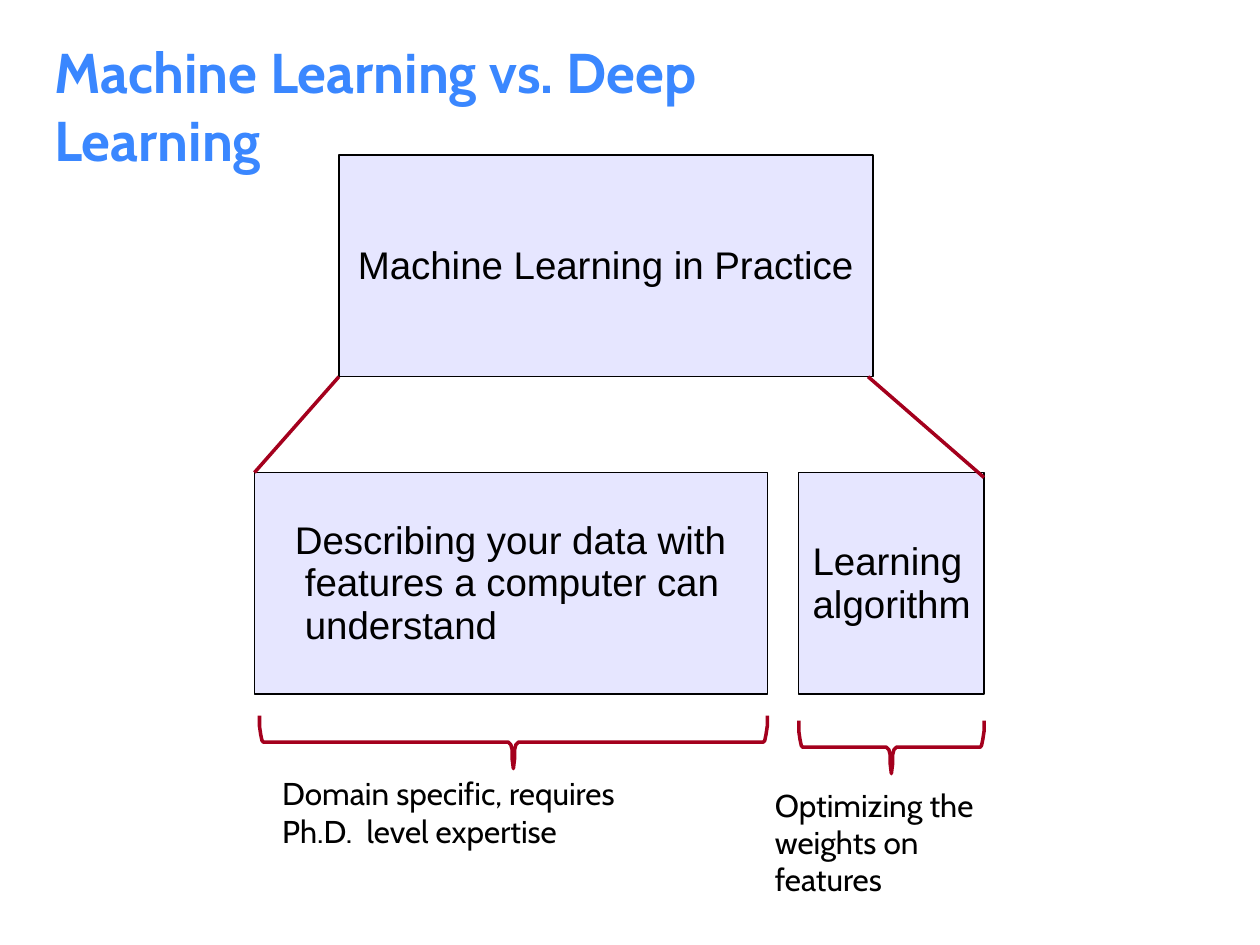
from dataclasses import dataclass

from lxml import etree
from pptx import Presentation
from pptx.dml.color import RGBColor
from pptx.enum.shapes import MSO_CONNECTOR, MSO_SHAPE
from pptx.enum.text import MSO_ANCHOR, MSO_AUTO_SIZE, PP_ALIGN
from pptx.oxml.ns import qn
from pptx.util import Inches, Pt

LEFT, TOP, MIDDLE = PP_ALIGN.LEFT, MSO_ANCHOR.TOP, MSO_ANCHOR.MIDDLE
NO_AUTOFIT = MSO_AUTO_SIZE.NONE
RECTANGLE, STRAIGHT = MSO_SHAPE.RECTANGLE, MSO_CONNECTOR.STRAIGHT


@dataclass(frozen=True)
class Theme:
    blue = RGBColor(0x3A, 0x87, 0xFF)
    black = RGBColor(0, 0, 0)
    lavender = RGBColor(0xE6, 0xE6, 0xFF)
    red = RGBColor(0xA4, 0x00, 0x1D)
    heading_font, box_font = "Cabin", "Arial"
    title_size, box_size, caption_size = Pt(32), Pt(22), Pt(18)
    box_leading, caption_leading = Pt(24.3), Pt(21.3)
    outline, accent = Pt(0.75), Pt(2)


THEME = Theme()
TITLE = "Machine Learning vs. Deep Learning"
BOX_HEIGHT = 1.76
UPPER_ROW, LOWER_ROW = 1.23, 3.75
# text, left, top, width, side margins, hanging indent
BOXES = [
    ("Machine Learning in Practice", 2.69, UPPER_ROW, 4.24, (0.15, 0.05), 0),
    ("Describing your data with features a computer can understand",
     2.02, LOWER_ROW, 4.07, (0.32, 0.3), 0.08),
    ("Learning algorithm", 6.34, LOWER_ROW, 1.47, (0.11, 0.05), 0),
]
# text, left, top, width
CAPTIONS = [
    ("Domain specific, requires Ph.D.  level expertise", 2.23, 6.12, 3.19),
    ("Optimizing the weights on features", 6.14, 6.21, 2.03),
]
UPPER_BOTTOM = UPPER_ROW + BOX_HEIGHT
FAN_LINES = [
    ((2.69, UPPER_BOTTOM), (2.02, LOWER_ROW)),
    ((6.89, UPPER_BOTTOM), (7.81, LOWER_ROW + 0.04)),
]
# left, right, top
BRACES = [(2.06, 6.09, 5.68), (6.34, 7.81, 5.72)]
# distance from an end or from the tip, share of the brace height
BRACE_HEIGHT = 0.42
BRACE_END = [(0, 0), (0, 0.2), (0.01, 0.36), (0.02, 0.47), (0.03, 0.5)]
BRACE_TIP = [(0.04, 0.5), (0.02, 0.55), (0.01, 0.64), (0.01, 0.81), (0, 1)]


def write(shape, text, font_name, size, color, leading=None, anchor=TOP,
          margins=(0.01, 0), bold=False, hanging=0):
    frame = shape.text_frame
    frame.text = text
    frame.word_wrap = True
    frame.auto_size = NO_AUTOFIT
    frame.vertical_anchor = anchor
    frame.margin_left, frame.margin_right = map(Inches, margins)
    frame.margin_top = frame.margin_bottom = Inches(0.03)
    para = frame.paragraphs[0]
    para.alignment = LEFT
    para.space_before = Pt(0)
    para.line_spacing = leading or 1.0
    if hanging:
        properties = para._p.get_or_add_pPr()
        properties.set("marL", str(Inches(hanging)))
        properties.set("indent", str(-Inches(hanging)))
    font = para.runs[0].font
    font.name, font.size, font.bold = font_name, size, bold
    font.color.rgb = color


def add_box(page, text, left, top, width, margins, hanging):
    box = page.shapes.add_shape(RECTANGLE, Inches(left), Inches(top),
                                Inches(width), Inches(BOX_HEIGHT))
    box.shadow.inherit = False
    box.fill.solid()
    box.fill.fore_color.rgb = THEME.lavender
    box.line.color.rgb = THEME.black
    box.line.width = THEME.outline
    write(box, text, THEME.box_font, THEME.box_size, THEME.black,
          THEME.box_leading, MIDDLE, margins, hanging=hanging)


def add_fan_line(page, start, end):
    line = page.shapes.add_connector(STRAIGHT, *map(Inches, start + end))
    line.line.color.rgb = THEME.red
    line.line.width = THEME.accent
    etree.SubElement(line._element.spPr, qn("a:effectLst"))


def add_brace(page, left, right, top):
    """Draw a downward brace: one half, then its mirror image."""
    middle = (left + right) / 2
    half = [(left + away, share) for away, share in BRACE_END]
    half += [(middle - away, share) for away, share in BRACE_TIP]
    mirror = [(left + right - x, share) for x, share in reversed(half[:-1])]
    points = [(Inches(x), Inches(top + share * BRACE_HEIGHT))
              for x, share in half + mirror]
    builder = page.shapes.build_freeform(*points[0])
    builder.add_line_segments(points[1:], close=False)
    brace = builder.convert_to_shape()
    brace.shadow.inherit = False
    brace.fill.background()
    brace.line.color.rgb = THEME.red
    brace.line.width = THEME.accent


def main():
    deck = Presentation()
    deck.slide_width, deck.slide_height = Inches(10), Inches(7.5)
    page = deck.slides.add_slide(deck.slide_layouts[5])

    title = page.shapes.title
    title.left, title.top = Inches(0.42), Inches(0.27)
    title.width, title.height = Inches(6.67), Inches(0.56)
    write(title, TITLE, THEME.heading_font, THEME.title_size, THEME.blue,
          bold=True)

    for box in BOXES:
        add_box(page, *box)
    for start, end in FAN_LINES:
        add_fan_line(page, start, end)
    for brace in BRACES:
        add_brace(page, *brace)
    for text, left, top, width in CAPTIONS:
        caption = page.shapes.add_textbox(Inches(left), Inches(top),
                                          Inches(width), Inches(0.62))
        write(caption, text, THEME.heading_font, THEME.caption_size,
              THEME.black, THEME.caption_leading, margins=(0.01, 0.1))

    deck.save("out.pptx")


if __name__ == "__main__":
    main()
